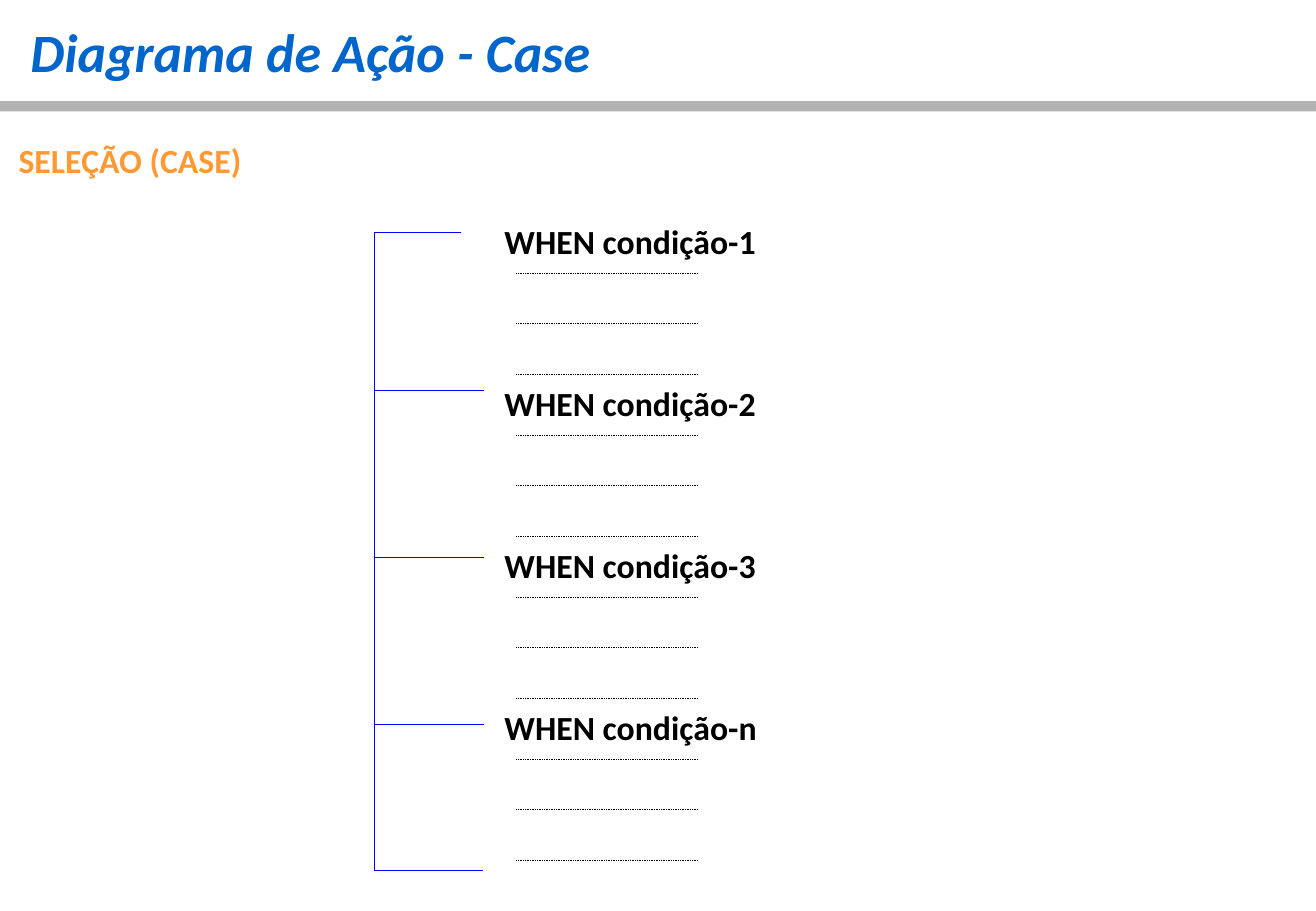
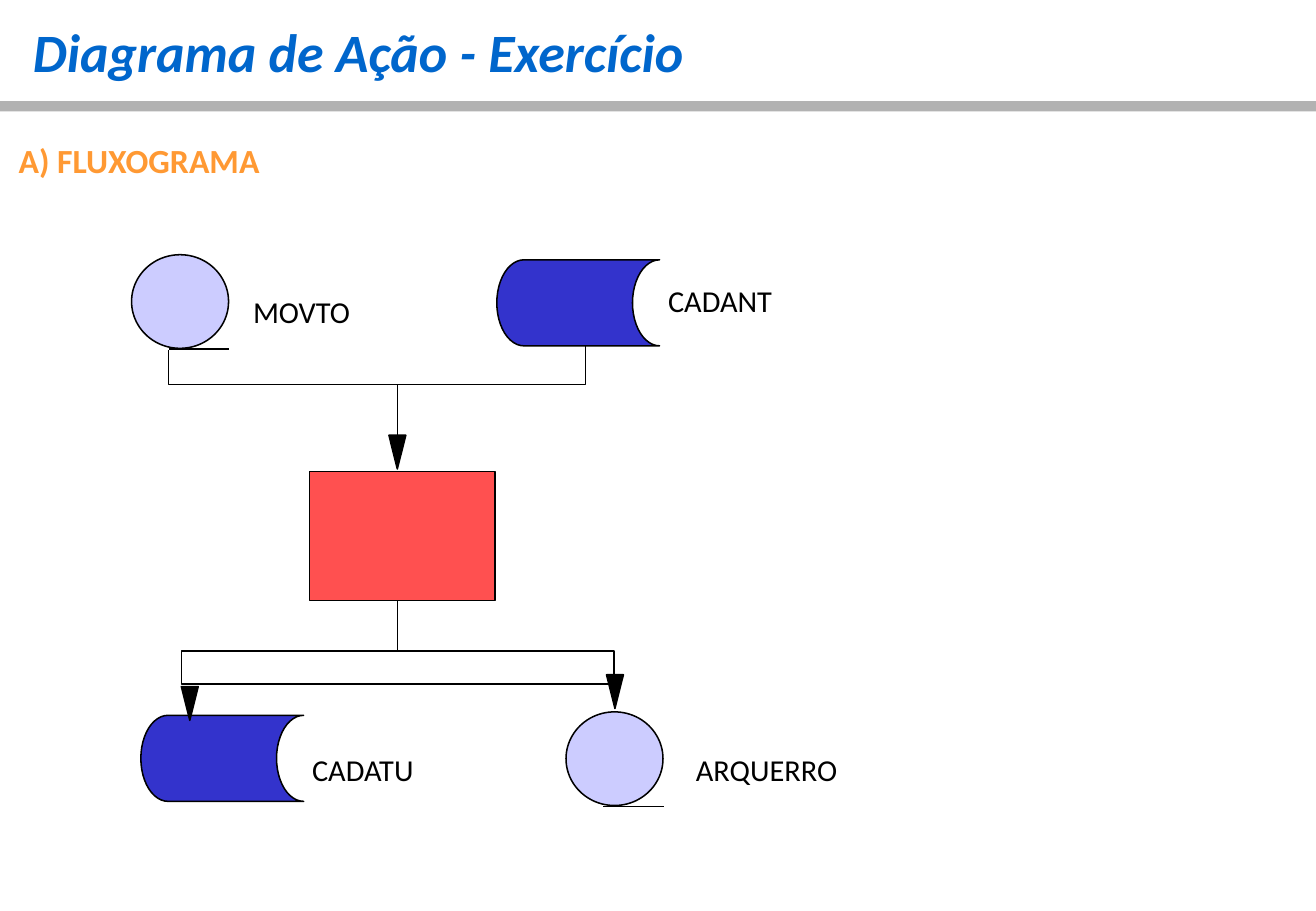
from lxml.etree import SubElement
from pptx import Presentation
from pptx.dml.color import RGBColor
from pptx.enum.dml import MSO_LINE
from pptx.enum.shapes import MSO_CONNECTOR, MSO_SHAPE
from pptx.enum.text import MSO_ANCHOR, MSO_AUTO_SIZE, PP_ALIGN
from pptx.oxml.ns import qn
from pptx.util import Pt

FONT = "Calibri"
BLACK, BLUE, ORANGE = "000000", "0066CC", "FF9933"
GREY, LINK, NAVY = "B2B2B2", "0000FF", "3333CC"
LILAC, RED = "CCCCFF", "FF5050"
hue = RGBColor.from_string


def paint(shape, fill=None, edge=BLACK, width=0.9):
    shape.shadow.inherit = False
    if fill:
        shape.fill.solid()
        shape.fill.fore_color.rgb = hue(fill)
    else:
        shape.fill.background()
    if edge:
        shape.line.color.rgb = hue(edge)
        shape.line.width = Pt(width)
    else:
        shape.line.fill.background()
    return shape


def link(slide, x1, y1, x2, y2, edge=BLACK, width=0.9):
    line = slide.shapes.add_connector(
        MSO_CONNECTOR.STRAIGHT, Pt(x1), Pt(y1), Pt(x2), Pt(y2))
    line.line.color.rgb = hue(edge)
    line.line.width = Pt(width)
    SubElement(line._element.spPr, qn("a:effectLst"))
    return line


deck = Presentation()
deck.slide_width, deck.slide_height = Pt(780), Pt(540)
layout = deck.slide_layouts[1]

pages = [
    ("Diagrama de Ação - Case", 13, 394,
     ["SELEÇÃO (CASE)"] + [f"WHEN condição-{mark}" for mark in "123n"]),
    ("Diagrama de Ação - Exercício", 14.5, 34, ["A) FLUXOGRAMA"]),
]
slides = []
for name, left, height, items in pages:
    slide = deck.slides.add_slide(layout)
    slides.append(slide)
    title, body = slide.shapes.title, slide.placeholders[1]
    title.left, title.top, title.width, title.height = Pt(left), Pt(6), Pt(640), Pt(48)
    body.left, body.top, body.width, body.height = Pt(6), Pt(78), Pt(640), Pt(height)
    title.text_frame.text = name
    body.text_frame.text = "\n".join(items)
    for frame in (title.text_frame, body.text_frame):
        frame.word_wrap = True
        frame.auto_size = MSO_AUTO_SIZE.NONE
        frame.vertical_anchor = MSO_ANCHOR.TOP
        frame.margin_left = frame.margin_right = Pt(5)
        frame.margin_top = frame.margin_bottom = Pt(5)
    para = title.text_frame.paragraphs[0]
    para.alignment = PP_ALIGN.LEFT
    font = para.runs[0].font
    font.name, font.size, font.bold, font.italic = FONT, Pt(32), True, True
    font.color.rgb = hue(BLUE)
    for row, para in enumerate(body.text_frame.paragraphs):
        props = para._p.get_or_add_pPr()
        props.set("marL", str(Pt(288 if row else 0)))
        props.set("indent", "0")
        SubElement(props, qn("a:buNone"))
        para.space_before = Pt((0, 24, 72, 72, 72)[row])
        font = para.runs[0].font
        font.name, font.size, font.bold = FONT, Pt(20), True
        font.color.rgb = hue(BLACK if row else ORANGE)

case, flow = slides

band = case.shapes.add_shape(MSO_SHAPE.RECTANGLE, 0, Pt(60), Pt(780), Pt(6))
paint(band, GREY, None)
layout.shapes.element.append(band.element)

pen = case.shapes.build_freeform(Pt(273.5), Pt(138))
pen.add_line_segments(
    [(Pt(222), Pt(138)), (Pt(222), Pt(516)), (Pt(286.5), Pt(516))], close=False)
paint(pen.convert_to_shape(), None, LINK, 0.75)
for step in range(3):
    y = 231.5 + 99 * step
    link(case, 222, y, 287, y, LINK, 0.75)
for block in range(4):
    for step in range(3):
        y = 162 + 96 * block + 30 * step
        dots = link(case, 306, y, 414, y, BLACK, 0.5)
        dots.line.dash_style = MSO_LINE.ROUND_DOT

pen = flow.shapes.build_freeform(Pt(100), Pt(207.5))
pen.add_line_segments(
    [(Pt(100), Pt(228)), (Pt(347), Pt(228)), (Pt(347), Pt(205))], close=False)
paint(pen.convert_to_shape())

disk, tape = MSO_SHAPE.FLOWCHART_STORED_DATA, MSO_SHAPE.OVAL
head, box = MSO_SHAPE.FLOWCHART_MERGE, MSO_SHAPE.RECTANGLE
parts = [
    (disk, 294.5, 154, 96.5, 51, NAVY),
    (disk, 83.5, 424, 96.5, 51, NAVY),
    (tape, 78, 151, 57.5, 55.5, LILAC),
    (tape, 335.5, 422, 57.5, 55.5, LILAC),
    (box, 183.5, 279.5, 110, 76.5, RED),
    (box, 107.5, 386, 256.5, 19.5, None),
    (head, 230.5, 258, 10, 20, BLACK),
    (head, 107.5, 407, 10, 20, BLACK),
    (head, 359.5, 400, 10, 20, BLACK),
]
for kind, x, y, wide, high, fill in parts:
    paint(flow.shapes.add_shape(kind, Pt(x), Pt(y), Pt(wide), Pt(high)), fill)
    if kind == tape:
        link(flow, x + 22, y + 56, x + 58, y + 56)
link(flow, 235.5, 228, 235.5, 258)
link(flow, 235.5, 356, 235.5, 386)

labels = [("MOVTO", 150, 174), ("CADANT", 396, 167),
          ("CADATU", 185, 445), ("ARQUERRO", 412.5, 445)]
for word, x, y in labels:
    frame = flow.shapes.add_textbox(Pt(x), Pt(y), Pt(97), Pt(22)).text_frame
    frame.word_wrap = True
    frame.margin_left = frame.margin_right = 0
    frame.margin_top = frame.margin_bottom = 0
    frame.text = word
    font = frame.paragraphs[0].runs[0].font
    font.name, font.size = FONT, Pt(18)
    font.color.rgb = hue(BLACK)

deck.save("out.pptx")
